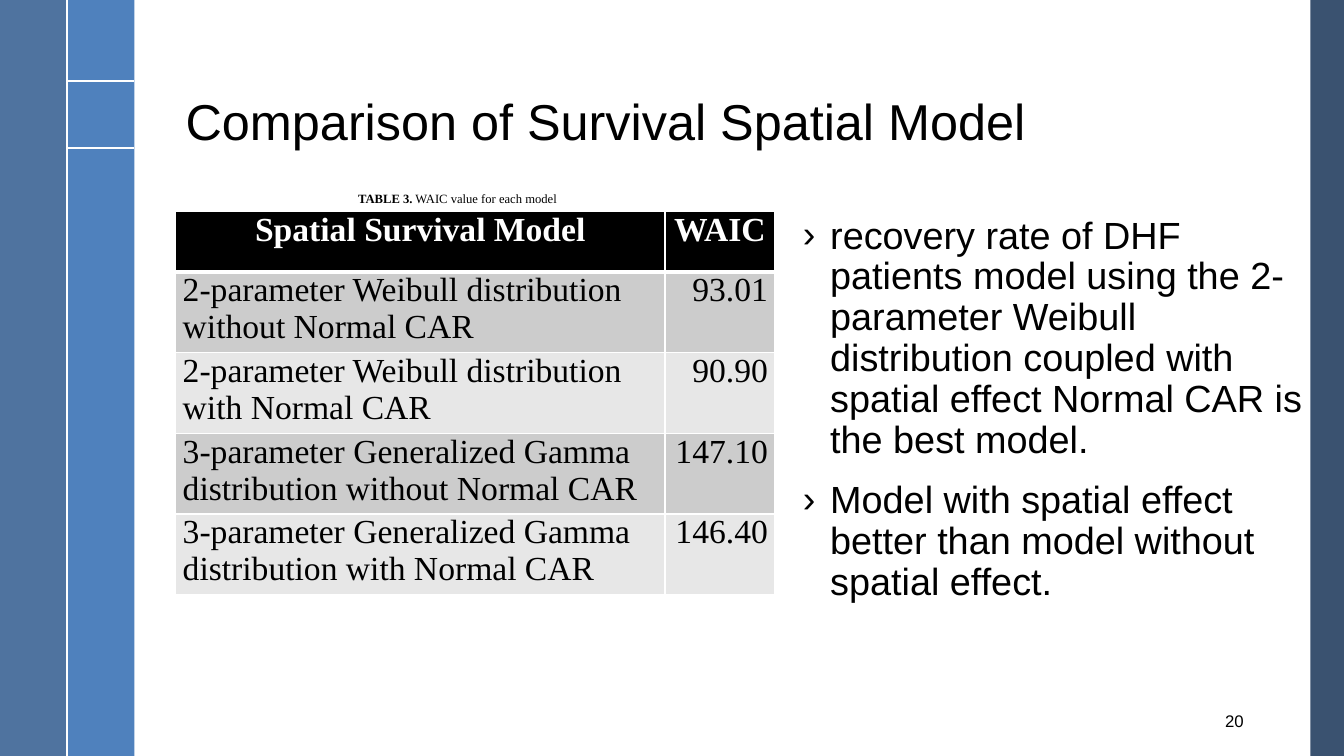
from dataclasses import dataclass

from lxml.etree import SubElement
from pptx import Presentation
from pptx.dml.color import RGBColor
from pptx.enum.shapes import MSO_CONNECTOR, MSO_SHAPE
from pptx.enum.text import MSO_ANCHOR, PP_ALIGN
from pptx.oxml.ns import qn
from pptx.util import Pt


@dataclass(frozen=True)
class Theme:
    sans: str = "Arial"
    serif: str = "Times New Roman"
    black: str = "000000"
    white: str = "FFFFFF"
    right_band: str = "254061"
    inner_band: str = "4F81BD"
    outer_band: str = "376092"
    row_fills: tuple = ("CCCCCC", "E7E7E7")
    title_size: float = 36
    bullet_size: float = 27
    table_size: float = 24
    number_size: float = 12
    caption_size: float = 9


class SlideBuilder:
    def __init__(self, page, theme):
        self.page = page
        self.theme = theme

    def band(self, left, width, height, color, opacity=100):
        box = self.page.shapes.add_shape(
            MSO_SHAPE.RECTANGLE, Pt(left), 0, Pt(width), Pt(height))
        box.shadow.inherit = False
        box.line.fill.background()
        box.fill.solid()
        box.fill.fore_color.rgb = RGBColor.from_string(color)
        if opacity < 100:
            shade = box.fill._xPr.find(qn("a:solidFill"))[0]
            SubElement(shade, qn("a:alpha"), val=str(opacity * 1000))

    def rule(self, start, end):
        line = self.page.shapes.add_connector(
            MSO_CONNECTOR.STRAIGHT, *map(Pt, start), *map(Pt, end))
        line.line.color.rgb = RGBColor.from_string(self.theme.white)
        line.line.width = Pt(1.5)
        SubElement(line._element.spPr, qn("a:effectLst"))

    def span(self, para, text, font, size, color=None, bold=False):
        span = para.add_run()
        span.text = text
        span.font.name = font
        span.font.size = Pt(size)
        span.font.bold = bold
        span.font.color.rgb = RGBColor.from_string(color or self.theme.black)

    def text_box(self, left, top, width, height, anchor=MSO_ANCHOR.TOP):
        box = self.page.shapes.add_textbox(*map(Pt, (left, top, width, height)))
        frame = box.text_frame
        frame.word_wrap = True
        frame.vertical_anchor = anchor
        return frame

    def bullet(self, para, text, indent=19.44):
        para.line_spacing = 0.9
        para.space_before = Pt(14)
        properties = para._p.get_or_add_pPr()
        properties.set("marL", str(Pt(indent)))
        properties.set("indent", str(-Pt(indent)))
        SubElement(properties, qn("a:buFont"), typeface=self.theme.sans)
        SubElement(properties, qn("a:buChar"), char="›")
        self.span(para, text, self.theme.sans, self.theme.bullet_size)

    def border(self, cell, side, width):
        line = SubElement(cell._tc.get_or_add_tcPr(), qn(f"a:ln{side}"), w=str(Pt(width)))
        fill = SubElement(line, qn("a:solidFill"))
        SubElement(fill, qn("a:srgbClr"), val=self.theme.white)

    def cell(self, cell, text, header, align, fill):
        cell.margin_left = cell.margin_right = Pt(5.04)
        cell.margin_top = cell.margin_bottom = 0
        for side in "LRTB":
            self.border(cell, side, 3 if header and side == "B" else 1)
        cell.fill.solid()
        cell.fill.fore_color.rgb = RGBColor.from_string(fill)
        para = cell.text_frame.paragraphs[0]
        para.alignment = align
        color = self.theme.white if header else self.theme.black
        self.span(para, text, self.theme.serif, self.theme.table_size, color, header)

    def table(self, left, top, widths, row_height, rows):
        table = self.page.shapes.add_table(
            len(rows), len(widths), Pt(left), Pt(top),
            Pt(sum(widths)), Pt(row_height * len(rows))).table
        for column, width in zip(table.columns, widths):
            column.width = Pt(width)
        for row_index, row in enumerate(rows):
            header = row_index == 0
            fill = self.theme.black if header else self.theme.row_fills[(row_index - 1) % 2]
            for column_index, text in enumerate(row):
                align = PP_ALIGN.RIGHT if column_index else PP_ALIGN.LEFT
                self.cell(table.cell(row_index, column_index), text, header,
                          PP_ALIGN.CENTER if header else align, fill)


WAIC_ROWS = [
    ("Spatial Survival Model", "WAIC"),
    ("2-parameter Weibull distribution without Normal CAR", "93.01"),
    ("2-parameter Weibull distribution with Normal CAR", "90.90"),
    ("3-parameter Generalized Gamma distribution without Normal CAR", "147.10"),
    ("3-parameter Generalized Gamma distribution with Normal CAR", "146.40"),
]
FINDINGS = [
    "recovery rate of DHF patients model using the 2-parameter Weibull distribution "
    "coupled with spatial effect Normal CAR is the best model.",
    "Model with spatial effect better than model without spatial effect.",
]


def main():
    theme = Theme()
    width, height, band_width = 960, 540, 48
    deck = Presentation()
    deck.slide_width, deck.slide_height = Pt(width), Pt(height)
    builder = SlideBuilder(deck.slides.add_slide(deck.slide_layouts[6]), theme)

    # Side bands and their dividing lines
    builder.band(width - band_width / 2, band_width / 2, height, theme.right_band, 90)
    builder.band(band_width, band_width, height, theme.inner_band)
    builder.band(0, band_width, height, theme.outer_band, 88)
    for y in (58, 106):
        builder.rule((band_width, y), (2 * band_width, y))
    builder.rule((band_width, 0), (band_width, height))

    # Title
    title = builder.text_box(125.5, 13.5, 770, 98, MSO_ANCHOR.BOTTOM).paragraphs[0]
    title.line_spacing = 0.9
    builder.span(title, "Comparison of Survival Spatial Model", theme.sans, theme.title_size)

    # Table with its caption
    builder.table(125.5, 151, (349.5, 78.5), 43.2, WAIC_ROWS)
    caption = builder.text_box(88.5, 109.5, 476.5, 41, MSO_ANCHOR.BOTTOM).paragraphs[0]
    caption.alignment = PP_ALIGN.CENTER
    caption.line_spacing = 2.0
    builder.span(caption, "TABLE 3.", theme.serif, theme.caption_size, bold=True)
    builder.span(caption, " WAIC value for each model", theme.serif, theme.caption_size)

    # Findings
    findings = builder.text_box(566.5, 151, 379.5, 360)
    for index, text in enumerate(FINDINGS):
        para = findings.add_paragraph() if index else findings.paragraphs[0]
        builder.bullet(para, text)

    # Page number
    number = builder.text_box(847.5, 500.5, 48, 29, MSO_ANCHOR.MIDDLE).paragraphs[0]
    number.alignment = PP_ALIGN.RIGHT
    builder.span(number, "20", theme.sans, theme.number_size)

    deck.save("out.pptx")


if __name__ == "__main__":
    main()
